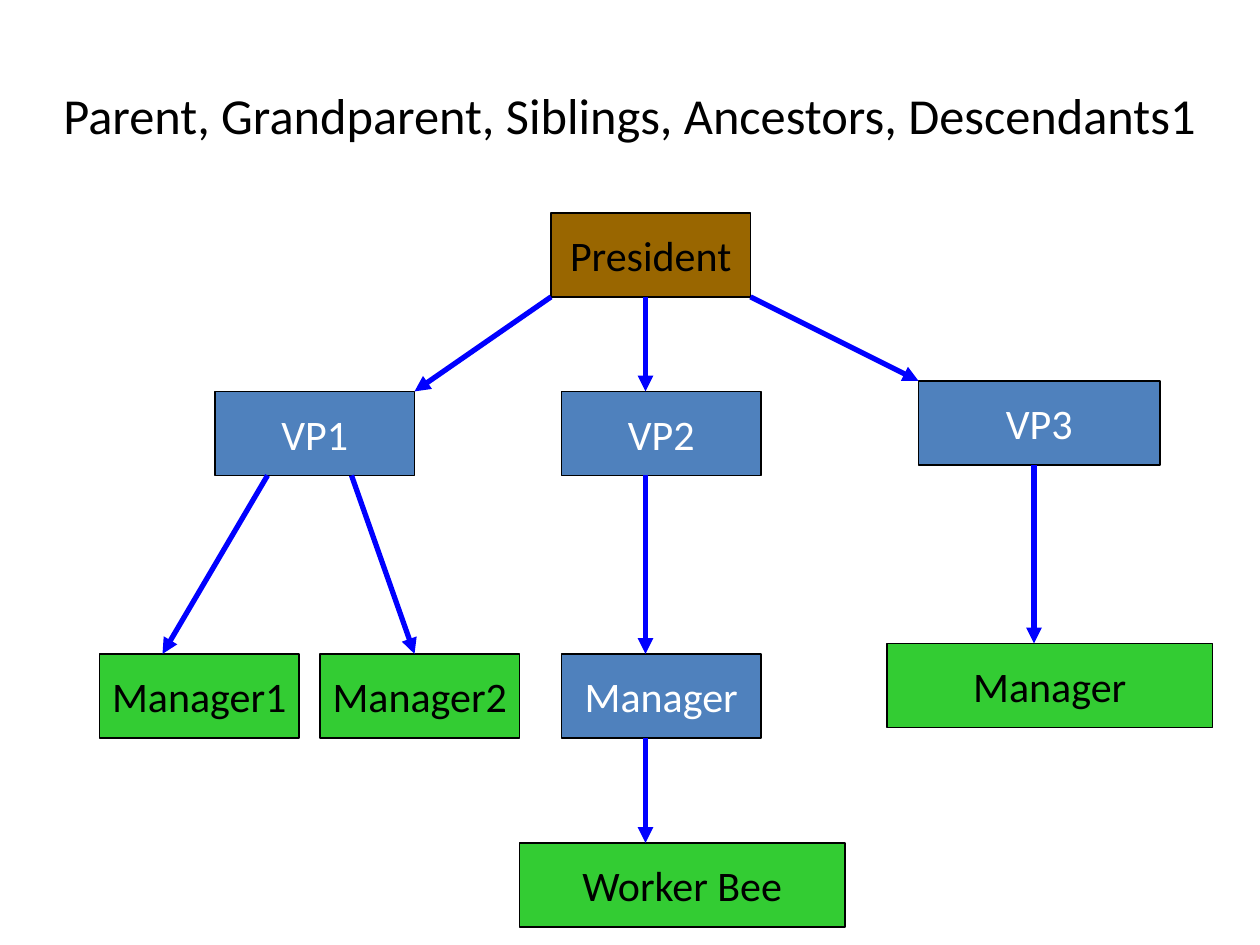
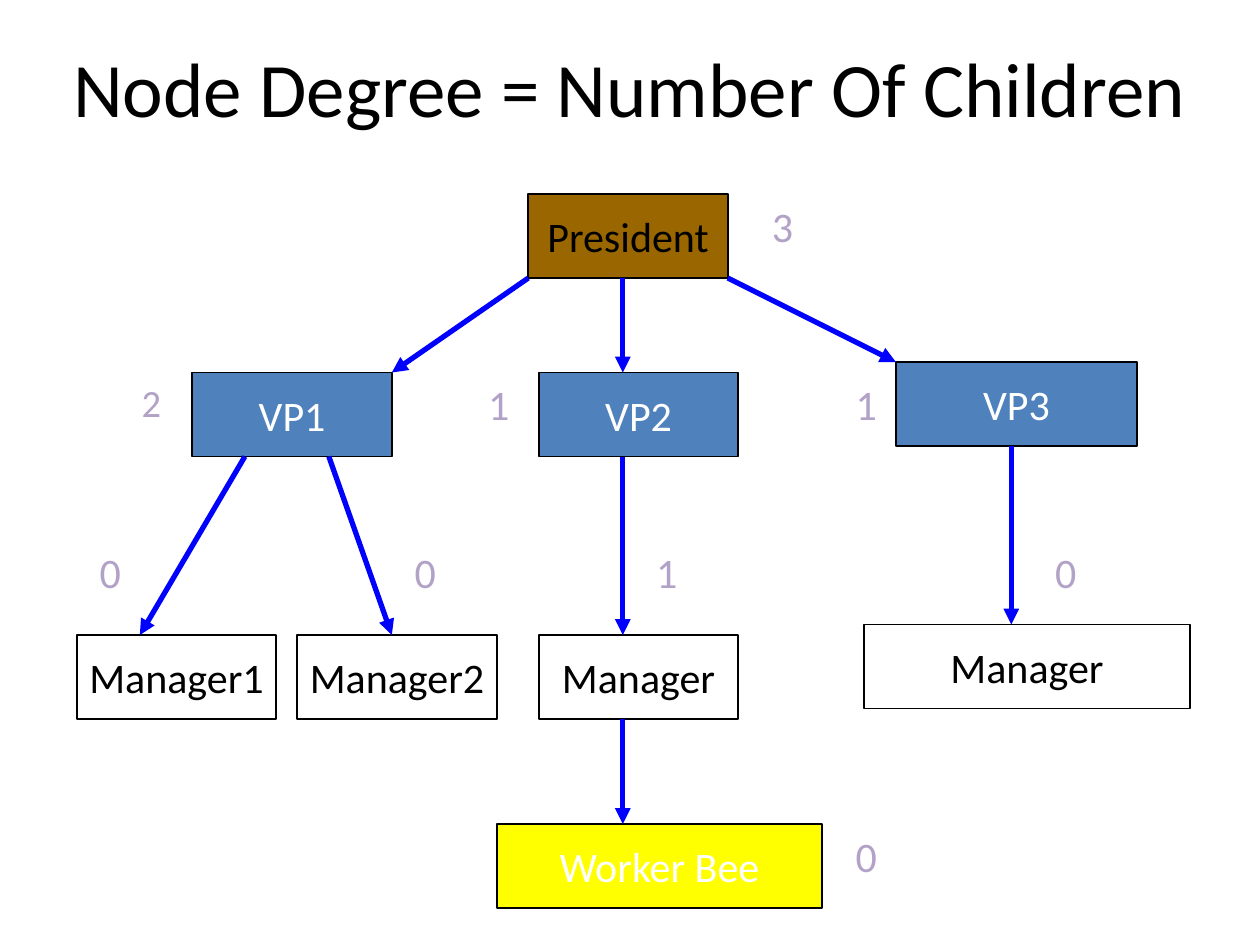
import pptx
import pptx.dml.color
import pptx.enum.shapes
import pptx.enum.text
import pptx.oxml.ns
import pptx.util
from lxml import etree

FONT = "Calibri"
BLACK, WHITE, BLUE = "000000", "FFFFFF", "4F81BD"
BROWN, GREEN, YELLOW = "996600", "33CC33", "FFFF00"
ARROW_COLOUR, DEGREE_COLOUR = "0000FF", "B3A2C7"
SLIDE_WIDTH, SLIDE_HEIGHT = 10, 7.5
TITLE_HEIGHT = 0.83

# The tree lies on a grid of twelve cells to the inch.
CELL = 1 / 12
NODE_ROWS = 8

# Name: (label, column, row, columns wide)
NODES = {
    "president": ("President", 43, 0, 19),
    "vp1": ("VP1", 11, 17, 19),
    "vp2": ("VP2", 44, 17, 19),
    "vp3": ("VP3", 78, 16, 23),
    "manager1": ("Manager1", 0, 42, 19),
    "manager2": ("Manager2", 21, 42, 19),
    "manager of vp2": ("Manager", 44, 42, 19),
    "manager of vp3": ("Manager", 75, 41, 31),
    "worker": ("Worker Bee", 40, 60, 31),
}

# Parent, column at its lower edge, child, column at its upper edge
BRANCHES = [
    ("president", 52, "vp2", 52),
    ("president", 43, "vp1", 30),
    ("president", 62, "vp3", 78),
    ("vp1", 16, "manager1", 6),
    ("vp1", 24, "manager2", 30),
    ("vp2", 52, "manager of vp2", 52),
    ("vp3", 89, "manager of vp3", 89),
    ("manager of vp2", 52, "worker", 52),
]

# Degree, column, row, columns wide, text size
DEGREES = [
    ("3", 65, 0, 8, 24),
    ("2", 5, 17, 6, 22),
    ("1", 38, 17, 6, 24),
    ("1", 73, 17, 6, 24),
    ("0", 1, 33, 6, 24),
    ("0", 31, 33, 6, 24),
    ("1", 54, 33, 6, 24),
    ("0", 92, 33, 6, 24),
    ("0", 73, 60, 6, 24),
]

# Fill and text colour by node; the upper levels look alike on both slides.
UPPER_STYLES = {
    "president": (BROWN, BLACK),
    **dict.fromkeys(["vp1", "vp2", "vp3"], (BLUE, WHITE)),
}
MANAGERS = ["manager1", "manager2", "manager of vp2", "manager of vp3"]

SLIDES = [
    {
        "title": "Parent, Grandparent, Siblings, Ancestors, Descendants1",
        "title size": 28.8,
        "title top": 0.49,
        "origin": (0.79, 1.69),
        "styles": {
            **UPPER_STYLES,
            **dict.fromkeys(MANAGERS + ["worker"], (GREEN, BLACK)),
            "manager of vp2": (BLUE, WHITE),
        },
        "degrees": [],
    },
    {
        "title": "Node Degree = Number Of Children",
        "title size": 44,
        "title top": 0.27,
        "origin": (0.61, 1.54),
        "styles": {
            **UPPER_STYLES,
            **dict.fromkeys(MANAGERS, (WHITE, BLACK)),
            "worker": (YELLOW, WHITE),
        },
        "degrees": DEGREES,
    },
]


def colour(hex_string):
    return pptx.dml.color.RGBColor.from_string(hex_string)


def inches(*lengths):
    return [pptx.util.Inches(length) for length in lengths]


def grid_point(origin, column, row):
    """Return the place of a grid crossing, in inches."""
    left, top = origin
    return left + column * CELL, top + row * CELL


def write(shape, text, size, text_colour, centred=True, wrap=True):
    frame = shape.text_frame
    frame.word_wrap = wrap
    if centred:
        frame.vertical_anchor = pptx.enum.text.MSO_ANCHOR.MIDDLE
    para = frame.paragraphs[0]
    para.text = text
    para.alignment = (pptx.enum.text.PP_ALIGN.CENTER if centred
                      else pptx.enum.text.PP_ALIGN.LEFT)
    para.font.name = FONT
    para.font.size = pptx.util.Pt(size)
    para.font.color.rgb = colour(text_colour)


def add_title(page, text, size, top):
    box = page.shapes.add_textbox(*inches(0, top, SLIDE_WIDTH, TITLE_HEIGHT))
    write(box, text, size, BLACK)


def add_node(page, origin, name, style):
    label, column, row, columns = NODES[name]
    fill, text_colour = style
    box = page.shapes.add_shape(
        pptx.enum.shapes.MSO_SHAPE.RECTANGLE,
        *inches(*grid_point(origin, column, row),
                columns * CELL, NODE_ROWS * CELL))
    box.shadow.inherit = False
    box.fill.solid()
    box.fill.fore_color.rgb = colour(fill)
    box.line.color.rgb = colour(BLACK)
    box.line.width = pptx.util.Pt(1)
    write(box, label, 24, text_colour, wrap=False)


def add_branch(page, origin, parent, start_column, child, end_column):
    start_row = NODES[parent][2] + NODE_ROWS
    end_row = NODES[child][2]
    arrow = page.shapes.add_connector(
        pptx.enum.shapes.MSO_CONNECTOR.STRAIGHT,
        *inches(*grid_point(origin, start_column, start_row),
                *grid_point(origin, end_column, end_row)))
    arrow.line.color.rgb = colour(ARROW_COLOUR)
    arrow.line.width = pptx.util.Pt(3)
    qn = pptx.oxml.ns.qn
    properties = arrow._element.spPr
    etree.SubElement(properties.find(qn("a:ln")), qn("a:tailEnd"), type="triangle")
    etree.SubElement(properties, qn("a:effectLst"))


def add_degree(page, origin, degree, column, row, columns, size):
    box = page.shapes.add_textbox(
        *inches(*grid_point(origin, column, row), columns * CELL, 0.5))
    write(box, degree, size, DEGREE_COLOUR, centred=False)


def main():
    deck = pptx.Presentation()
    deck.slide_width, deck.slide_height = inches(SLIDE_WIDTH, SLIDE_HEIGHT)
    for content in SLIDES:
        page = deck.slides.add_slide(deck.slide_layouts[6])
        origin = content["origin"]
        add_title(page, content["title"], content["title size"], content["title top"])
        for name in NODES:
            add_node(page, origin, name, content["styles"][name])
        for branch in BRANCHES:
            add_branch(page, origin, *branch)
        for degree in content["degrees"]:
            add_degree(page, origin, *degree)
    deck.save("out.pptx")


if __name__ == "__main__":
    main()
